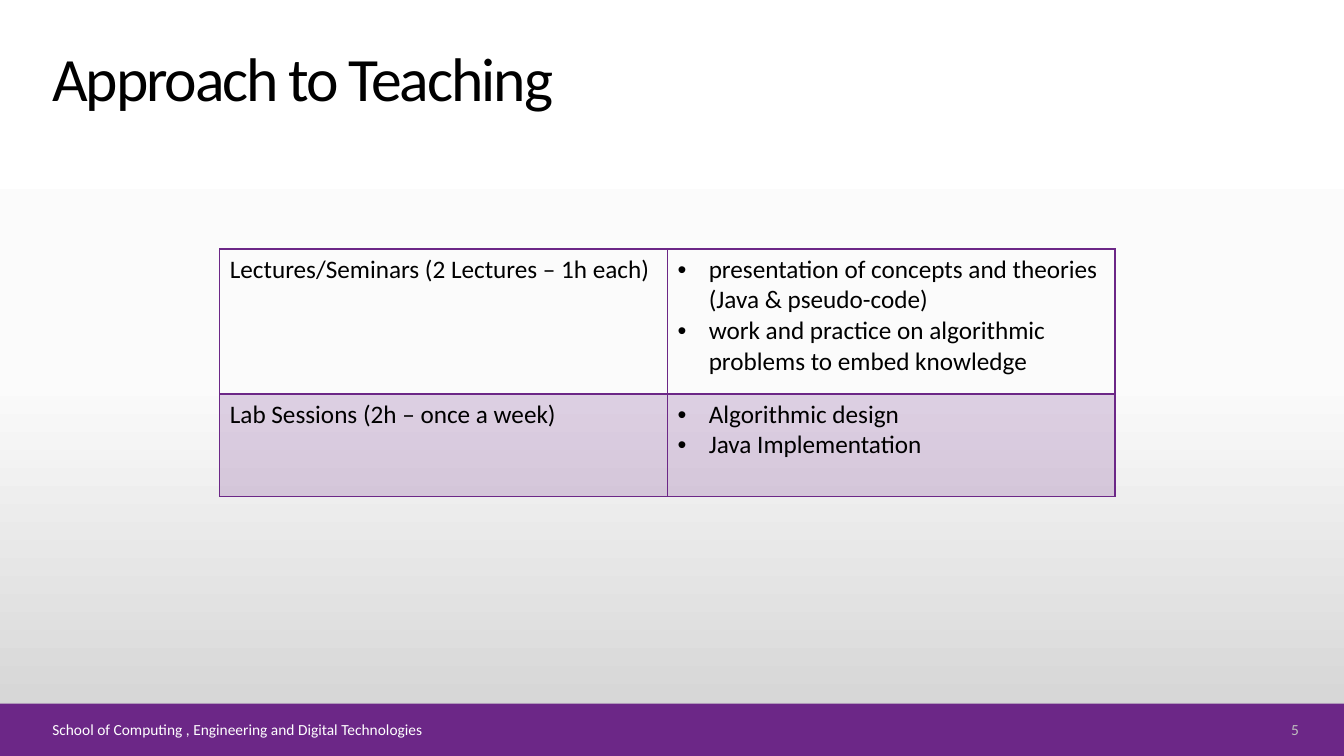
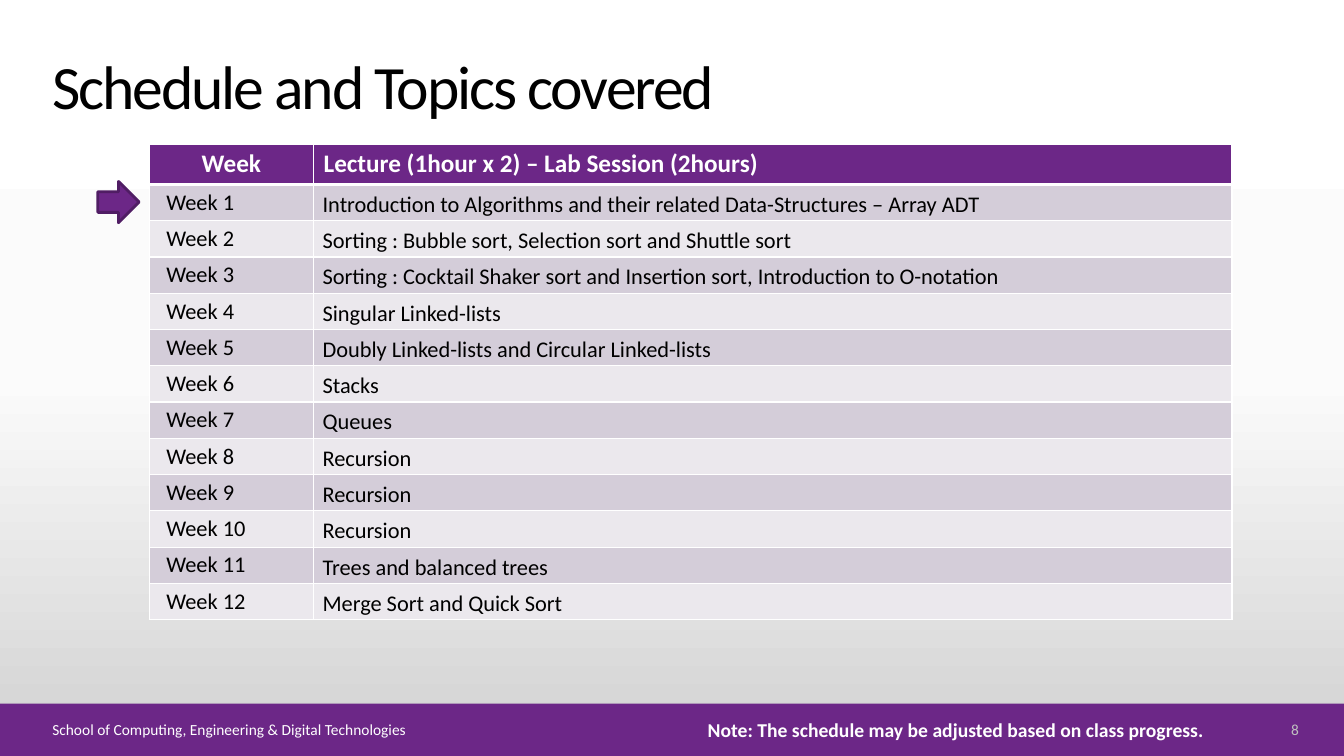
"""Build two teaching slides: the approach and the weekly schedule."""
from copy import deepcopy

from lxml import etree
from pptx import Presentation
from pptx.dml.color import RGBColor
from pptx.enum.shapes import MSO_SHAPE
from pptx.enum.text import MSO_ANCHOR, PP_ALIGN
from pptx.oxml.ns import qn
from pptx.util import Inches, Pt

RECTANGLE, RIGHT_ARROW = MSO_SHAPE.RECTANGLE, MSO_SHAPE.RIGHT_ARROW
TOP, MIDDLE, BOTTOM = MSO_ANCHOR.TOP, MSO_ANCHOR.MIDDLE, MSO_ANCHOR.BOTTOM
LEFT, CENTER, RIGHT = PP_ALIGN.LEFT, PP_ALIGN.CENTER, PP_ALIGN.RIGHT

PURPLE = RGBColor(0x6C, 0x27, 0x87)
DARK_PURPLE = RGBColor(0x50, 0x1D, 0x64)
WHITE = RGBColor(0xFF, 0xFF, 0xFF)
BLACK = RGBColor(0x00, 0x00, 0x00)
GREY = RGBColor(0xBF, 0xBF, 0xBF)
NEAR_WHITE = RGBColor(0xFB, 0xFB, 0xFB)
LIGHT_GREY = RGBColor(0xD1, 0xD1, 0xD1)
ODD_ROW = RGBColor(0xD4, 0xCD, 0xD9)
EVEN_ROW = RGBColor(0xEB, 0xE8, 0xED)

FONT = "Calibri"
WIDTH, HEIGHT = 13.33, 7.5
BAND_TOP = 6.98
MARGIN = 0.42
FOOTER_TOP, FOOTER_HEIGHT = 7.12, 0.23
BULLET_INDENT = 0.31

APPROACH = [
    ("Lectures/Seminars (2 Lectures – 1h each)",
     ["presentation of concepts and theories (Java & pseudo-code)",
      "work and practice on algorithmic problems to embed knowledge"]),
    ("Lab Sessions (2h – once a week)",
     ["Algorithmic design", "Java Implementation"]),
]
TOPICS = [
    "Introduction to Algorithms and their related Data-Structures – Array ADT",
    "Sorting : Bubble sort, Selection sort and Shuttle sort",
    "Sorting : Cocktail Shaker sort and Insertion sort, Introduction to O-notation",
    "Singular Linked-lists",
    "Doubly Linked-lists and Circular Linked-lists",
    "Stacks",
    "Queues",
    "Recursion",
    "Recursion",
    "Recursion",
    "Trees and balanced trees",
    "Merge Sort and Quick Sort",
]


def write(frame, text, size, color, bold=False, align=LEFT, spacing=None):
    """Fill a text frame and format every run alike."""
    frame.text = text
    for para in frame.paragraphs:
        para.alignment = align
        para.line_spacing = spacing
        for span in para.runs:
            font = span.font
            font.name, font.size, font.bold = FONT, Pt(size), bold
            font.color.rgb = color


def add_text(page, place, text, size, color, anchor=MIDDLE, wrap=True, **style):
    """Add a text box and return it."""
    box = page.shapes.add_textbox(*map(Inches, place))
    frame = box.text_frame
    frame.word_wrap = wrap
    frame.vertical_anchor = anchor
    write(frame, text, size, color, **style)
    return box


def add_block(page, kind, place, line=None):
    """Add a purple preset shape with an optional outline colour."""
    shape = page.shapes.add_shape(kind, *map(Inches, place))
    shape.shadow.inherit = False
    shape.fill.solid()
    shape.fill.fore_color.rgb = PURPLE
    if line is None:
        shape.line.fill.background()
    else:
        shape.line.color.rgb = line
        shape.line.width = Pt(2)


def set_background(deck):
    """Give the master a vertical three-stop gradient."""
    fill = deck.slide_master.background.fill
    fill.gradient()
    fill.gradient_angle = 270
    stop_list = deck.slide_master.element.find(".//" + qn("a:gsLst"))
    stop_list.insert(1, deepcopy(stop_list[0]))
    colors = (WHITE, NEAR_WHITE, LIGHT_GREY)
    for stop, color, position in zip(fill.gradient_stops, colors, (0, 0.5, 1)):
        stop.color.rgb = color
        stop.position = position


def add_page(deck, title, title_top, footer, number):
    """Add a blank slide with the shared band, title and footer."""
    page = deck.slides.add_slide(deck.slide_layouts[6])
    add_block(page, RECTANGLE, (0, BAND_TOP, WIDTH, HEIGHT - BAND_TOP))
    heading = add_text(page, (MARGIN, title_top, 10.4, 0.87), title, 44, BLACK,
                       anchor=BOTTOM, spacing=0.9)
    for span in heading.text_frame.paragraphs[0].runs:
        span.font._element.set("spc", "-150")
    add_text(page, (MARGIN, FOOTER_TOP, 11.65, FOOTER_HEIGHT), footer, 11, WHITE)
    add_text(page, (12.23, FOOTER_TOP, 0.75, FOOTER_HEIGHT), str(number), 11, GREY,
             align=RIGHT)
    return page


def add_grid(page, left, top, widths, heights):
    """Add a table without banding and return it."""
    frame = page.shapes.add_table(len(heights), len(widths), Inches(left), Inches(top),
                                  Inches(sum(widths)), Inches(sum(heights)))
    table = frame.table
    table.first_row = table.horz_banding = False
    for column, width in zip(table.columns, widths):
        column.width = Inches(width)
    for row, height in zip(table.rows, heights):
        row.height = Inches(height)
    return table


def style_cell(cell, fill, border, bottom=1, opacity=100):
    """Set the borders and the fill of a cell."""
    properties = cell._tc.get_or_add_tcPr()
    for side in "LRTB":
        width = bottom if side == "B" else 1
        line = etree.SubElement(properties, qn("a:ln" + side), w=str(Pt(width)))
        solid = etree.SubElement(line, qn("a:solidFill"))
        etree.SubElement(solid, qn("a:srgbClr"), val=str(border))
    if fill is None:
        cell.fill.background()
        return
    cell.fill.solid()
    cell.fill.fore_color.rgb = fill
    if opacity < 100:
        color = properties.find(qn("a:solidFill"))[0]
        etree.SubElement(color, qn("a:alpha"), val=str(opacity * 1000))


def add_bullets(frame):
    """Turn the paragraphs of a text frame into bullet points."""
    for para in frame.paragraphs:
        properties = para._p.get_or_add_pPr()
        properties.set("marL", str(Inches(BULLET_INDENT)))
        properties.set("indent", str(-Inches(BULLET_INDENT)))
        etree.SubElement(properties, qn("a:buFont"), typeface="Arial")
        etree.SubElement(properties, qn("a:buChar"), char="•")


def add_approach_table(page):
    """Add the table of session types."""
    table = add_grid(page, 2.18, 2.47, (4.44, 4.44), (1.44, 1.02))
    looks = ((None, 2), (PURPLE, 1))
    for row, ((session, points), (fill, bottom)) in enumerate(zip(APPROACH, looks)):
        for column, text in enumerate((session, "\n".join(points))):
            cell = table.cell(row, column)
            cell.vertical_anchor = TOP
            write(cell.text_frame, text, 18, BLACK)
            style_cell(cell, fill, PURPLE, bottom, opacity=20)
        add_bullets(table.cell(row, 1).text_frame)


def fill_schedule_cell(cell, text, margin, fill, size=16, color=BLACK, bottom=1, **style):
    """Write and style one cell of the schedule."""
    cell.vertical_anchor = MIDDLE
    cell.margin_top = cell.margin_bottom = 0
    cell.margin_left = cell.margin_right = Inches(margin)
    write(cell.text_frame, text, size, color, **style)
    style_cell(cell, fill, WHITE, bottom)


def add_schedule_table(page):
    """Add the table of weeks and topics."""
    table = add_grid(page, 1.48, 1.43, (1.63, 9.11), [0.4] + [0.36] * len(TOPICS))
    headings = (("Week", CENTER), ("Lecture (1hour x 2) – Lab Session (2hours)", LEFT))
    for column, (text, align) in enumerate(headings):
        fill_schedule_cell(table.cell(0, column), text, 0.1, PURPLE, size=18,
                           color=WHITE, bottom=3, bold=True, align=align)
    for week, topic in enumerate(TOPICS, start=1):
        fill = ODD_ROW if week % 2 else EVEN_ROW
        fill_schedule_cell(table.cell(week, 0), f"Week {week}", 0.17, fill)
        fill_schedule_cell(table.cell(week, 1), topic, 0.09, fill, spacing=1.15)


def main():
    """Build and save the deck."""
    deck = Presentation()
    deck.slide_width, deck.slide_height = Inches(WIDTH), Inches(HEIGHT)
    set_background(deck)

    approach = add_page(deck, "Approach to Teaching", 0.32,
                        "School of Computing , Engineering and Digital Technologies", 5)
    add_approach_table(approach)

    schedule = add_page(deck, "Schedule and Topics covered", 0.4,
                        "School of Computing, Engineering & Digital Technologies", 8)
    add_schedule_table(schedule)
    add_block(schedule, RIGHT_ARROW, (0.97, 1.8, 0.41, 0.41), line=DARK_PURPLE)
    add_text(schedule, (6.92, 7.07, 5.15, 0.34),
             "Note: The schedule may be adjusted based on class progress.",
             14, WHITE, anchor=TOP, wrap=False, bold=True)
    deck.save("out.pptx")


main()
